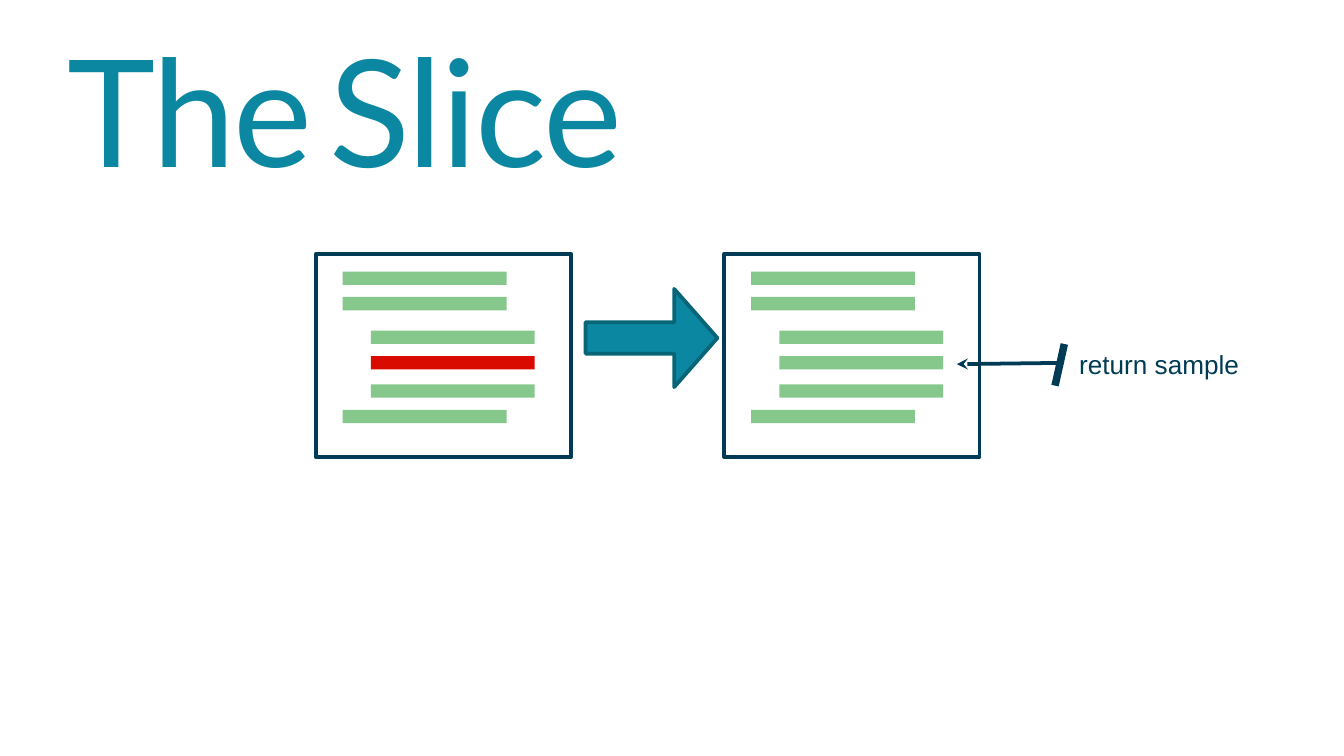
from lxml import etree
from pptx import Presentation
from pptx.dml.color import RGBColor
from pptx.enum.shapes import MSO_CONNECTOR, MSO_SHAPE
from pptx.enum.text import MSO_ANCHOR, MSO_AUTO_SIZE, PP_ALIGN
from pptx.oxml.ns import qn
from pptx.util import Pt

RECT, RIGHT_ARROW = MSO_SHAPE.RECTANGLE, MSO_SHAPE.RIGHT_ARROW
STRAIGHT = MSO_CONNECTOR.STRAIGHT
LEFT, TOP, BOTTOM = PP_ALIGN.LEFT, MSO_ANCHOR.TOP, MSO_ANCHOR.BOTTOM
NO_FIT, GROW = MSO_AUTO_SIZE.NONE, MSO_AUTO_SIZE.SHAPE_TO_FIT_TEXT

NAVY, TEAL, DARK_TEAL = "003B55", "0B87A1", "086477"
GREEN, RED, WHITE = "86C88C", "D90B00", "FFFFFF"

BAR_W, BAR_H = 87.8, 7.2
INDENTS = (14.4, 29.5)
CODE_LINES = [(9.4, 0), (23, 0), (41, 1), (54.7, 1), (69.8, 1), (83.5, 0)]
BUGGY_LINE = 3


def rgb(value):
    return RGBColor.from_string(value)


def add_block(s, kind, x, y, w, h, fill, line=None):
    sp = s.shapes.add_shape(kind, Pt(x), Pt(y), Pt(w), Pt(h))
    sp.shadow.inherit = False
    sp.fill.solid()
    sp.fill.fore_color.rgb = rgb(fill)
    if line:
        sp.line.color.rgb = rgb(line)
        sp.line.width = Pt(2)
    else:
        sp.line.fill.background()
    return sp


def add_line(s, x1, y1, x2, y2, width, head=None):
    cn = s.shapes.add_connector(STRAIGHT, Pt(x1), Pt(y1), Pt(x2), Pt(y2))
    cn.line.color.rgb = rgb(NAVY)
    cn.line.width = Pt(width)
    if head:
        ln = cn.line._get_or_add_ln()
        etree.SubElement(ln, qn("a:tailEnd"), type=head)
    etree.SubElement(cn._element.spPr, qn("a:effectLst"))


def add_run(p, text, font, size, color, spacing=0):
    r = p.add_run()
    r.text = text
    r.font.name = font
    r.font.size = Pt(size)
    r.font.color.rgb = rgb(color)
    if spacing:
        r._r.get_or_add_rPr().set("spc", str(spacing * 100))


def set_margins(tf, left, top, right, bottom):
    tf.margin_left, tf.margin_top = Pt(left), Pt(top)
    tf.margin_right, tf.margin_bottom = Pt(right), Pt(bottom)


def add_title(s, x, y, w, h):
    sp = s.shapes.title
    sp.left, sp.top, sp.width, sp.height = Pt(x), Pt(y), Pt(w), Pt(h)
    tf = sp.text_frame
    tf.auto_size = NO_FIT
    tf.vertical_anchor = BOTTOM
    set_margins(tf, 7.2, 7.2, 7.2, 7.2)
    p = tf.paragraphs[0]
    p.alignment = LEFT
    for text, size, spacing in [("The", 80, -1), (" ", 36, 0), ("Slice", 80, -1)]:
        add_run(p, text, "Lato", size, TEAL, spacing)


def add_program(s, x, y, w, h, red_line=None):
    add_block(s, RECT, x, y, w, h, WHITE, NAVY)
    for i, (dy, level) in enumerate(CODE_LINES):
        color = RED if i == red_line else GREEN
        add_block(s, RECT, x + INDENTS[level], y + dy, BAR_W, BAR_H, color)


def add_slice_arrow(s, x, y, w, h):
    sp = add_block(s, RIGHT_ARROW, x, y, w, h, TEAL, DARK_TEAL)
    sp.adjustments[0] = 0.32
    sp.adjustments[1] = 0.44


def add_callout(s, x, y, w, h):
    add_line(s, x + 56.2, y + 10.1, x, y + 10.8, 2, "stealth")
    add_line(s, x + 57.6, y, x + 52.6, y + h, 4)
    sp = s.shapes.add_textbox(Pt(x + 62.6), Pt(y + 2.2), Pt(w - 62.6), Pt(21.6))
    tf = sp.text_frame
    tf.word_wrap = False
    tf.auto_size = GROW
    tf.vertical_anchor = TOP
    set_margins(tf, 2.9, 0, 2.9, 0)
    p = tf.paragraphs[0]
    p.alignment = LEFT
    add_run(p, "return sample", "Arial", 14, NAVY)


def main():
    prs = Presentation()
    prs.slide_width, prs.slide_height = Pt(720), Pt(405)
    s = prs.slides.add_slide(prs.slide_layouts[5])
    add_title(s, 28.8, 13, 662.4, 100)
    add_program(s, 169.2, 136.1, 136.8, 108.7, BUGGY_LINE)
    add_slice_arrow(s, 313.7, 154.8, 70.6, 52.6)
    add_program(s, 388, 136.1, 136.8, 108.7)
    add_callout(s, 512.6, 184.3, 172.1, 22.3)
    prs.save("out.pptx")


if __name__ == "__main__":
    main()
